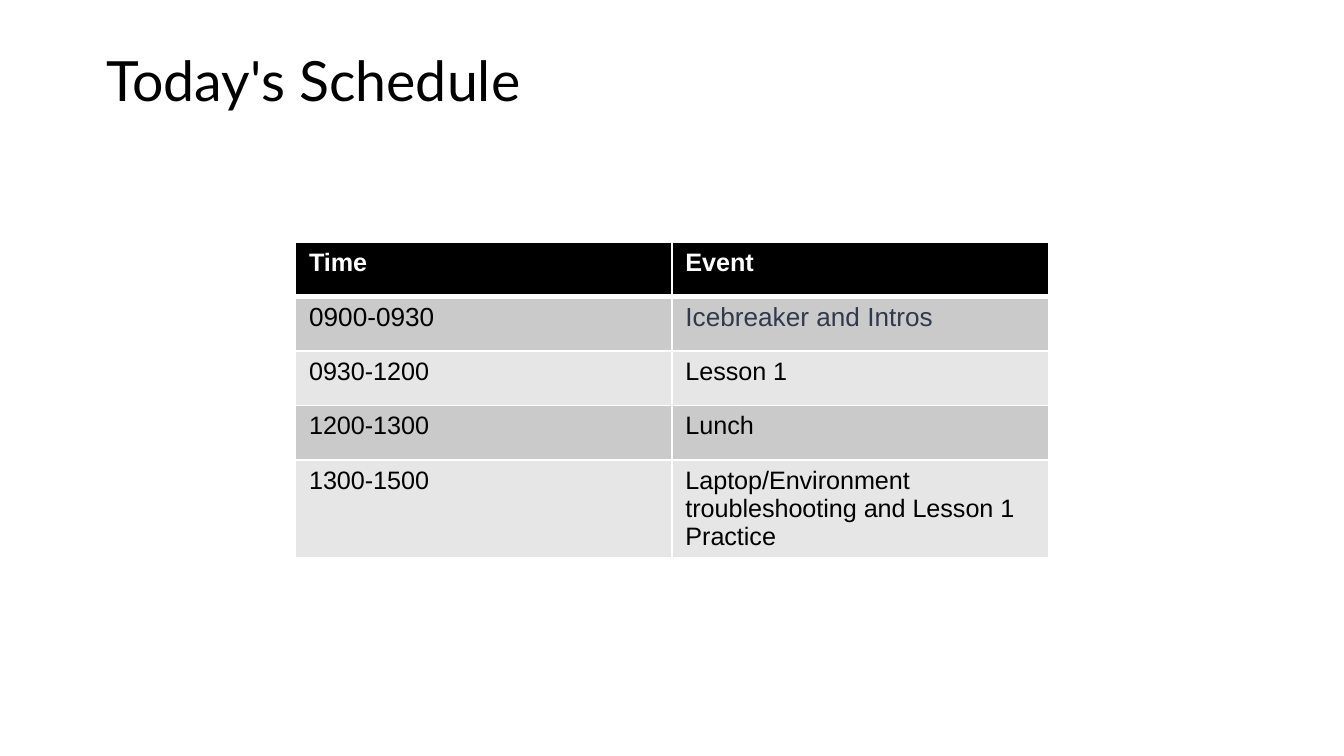
import lxml.etree
import pptx
import pptx.dml.color
import pptx.enum.text
import pptx.oxml.ns
import pptx.util

Inches = pptx.util.Inches
Pt = pptx.util.Pt

COLORS = {
    "black": "000000",
    "white": "FFFFFF",
    "dark_band": "CACACA",
    "light_band": "E6E6E6",
    "slate": "31394D",
}
SCHEDULE = [
    ("Time", "Event"),
    ("0900-0930", "Icebreaker and Intros"),
    ("0930-1200", "Lesson 1"),
    ("1200-1300", "Lunch"),
    ("1300-1500", "Laptop/Environment troubleshooting and Lesson 1 Practice"),
]
TITLE_BOX = (0.69, 0.3, 8.62, 1.09)
TABLE_BOX = (2.2, 1.8, 5.6, 2.03)


def rgb(name):
    return pptx.dml.color.RGBColor.from_string(COLORS[name])


def apply_format(target, values):
    for name, value in values.items():
        setattr(target, name, value)


def write(frame, text, color, **font):
    para = frame.paragraphs[0]
    span = para.add_run()
    span.text = text
    apply_format(span.font, font)
    span.font.color.rgb = rgb(color)
    return para


def set_borders(cell, widths):
    """Draw white borders; widths maps each side (L, R, T, B) to points."""
    properties = cell._tc.get_or_add_tcPr()
    qn = pptx.oxml.ns.qn
    for place, (side, width) in enumerate(widths.items()):
        line = lxml.etree.Element(qn(f"a:ln{side}"), w=str(Pt(width)))
        fill = lxml.etree.SubElement(line, qn("a:solidFill"))
        lxml.etree.SubElement(fill, qn("a:srgbClr"), val=COLORS["white"])
        properties.insert(place, line)


def add_title(page, box, text):
    title = page.shapes.title
    left, top, width, height = map(Inches, box)
    apply_format(title, {"left": left, "top": top, "width": width, "height": height})
    frame = title.text_frame
    margins = ("margin_left", "margin_top", "margin_right", "margin_bottom")
    apply_format(frame, dict.fromkeys(margins, Inches(0.1)))
    apply_format(frame, {
        "word_wrap": True,
        "auto_size": pptx.enum.text.MSO_AUTO_SIZE.NONE,
        "vertical_anchor": pptx.enum.text.MSO_ANCHOR.TOP,
    })
    para = write(frame, text, "black", name="Lato", size=Pt(29.7))
    apply_format(para, {"alignment": pptx.enum.text.PP_ALIGN.LEFT, "line_spacing": 0.9})


def add_schedule(page, box, rows):
    table = page.shapes.add_table(len(rows), len(rows[0]), *map(Inches, box)).table
    for row, texts in enumerate(rows):
        header = row == 0
        first = row == 1
        for column, text in enumerate(texts):
            cell = table.cell(row, column)
            # Header, then alternating bands
            band = "dark_band" if row % 2 else "light_band"
            cell.fill.solid()
            cell.fill.fore_color.rgb = rgb("black" if header else band)
            set_borders(cell, {"L": 1, "R": 1, "T": 3 if first else 1, "B": 3 if header else 1})
            # The opening event stands out in slate
            color = "white" if header else "slate" if first and column == 1 else "black"
            write(cell.text_frame, text, color, name="Arial",
                  size=Pt(14 if first else 13.5), bold=header)


def main():
    deck = pptx.Presentation()
    # Widescreen, 16:9
    width = Inches(10)
    apply_format(deck, {"slide_width": width, "slide_height": width * 9 // 16})
    page = deck.slides.add_slide(deck.slide_layouts.get_by_name("Title Only"))
    add_title(page, TITLE_BOX, "Today's Schedule")
    add_schedule(page, TABLE_BOX, SCHEDULE)
    deck.save("out.pptx")


if __name__ == "__main__":
    main()
